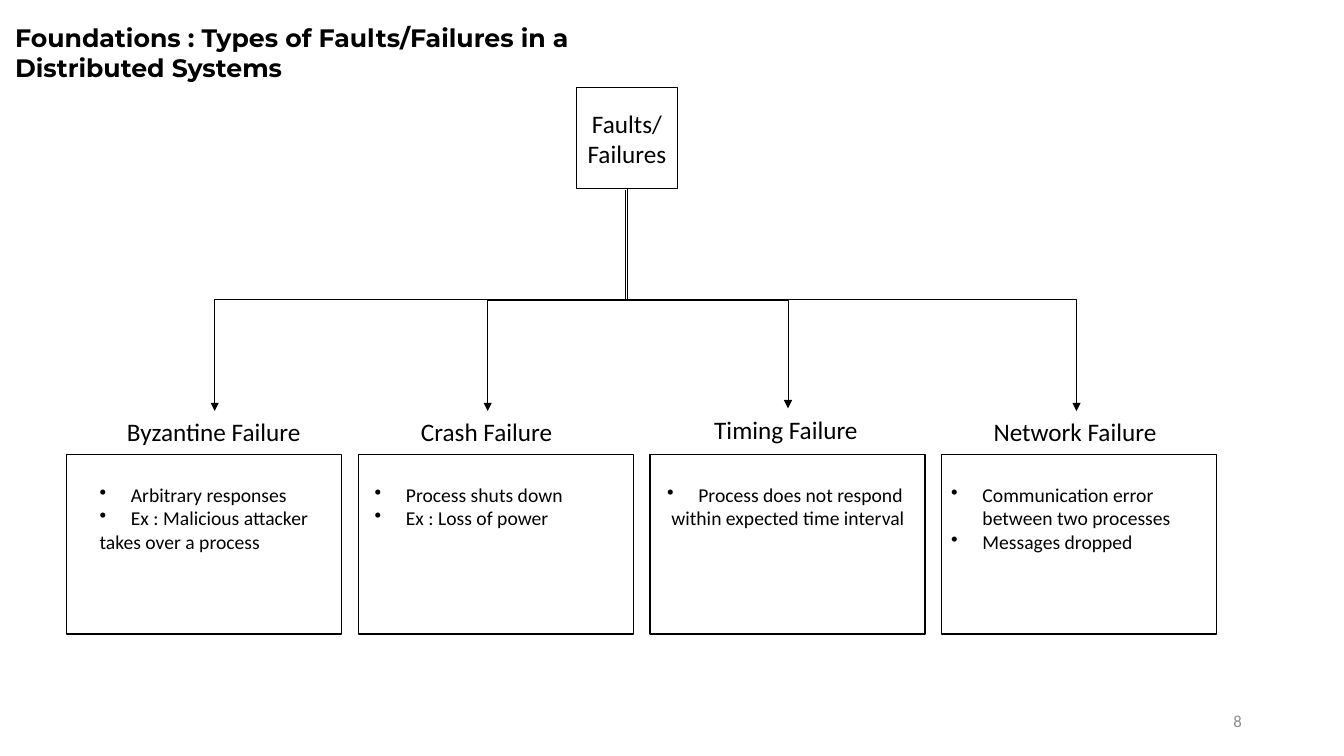
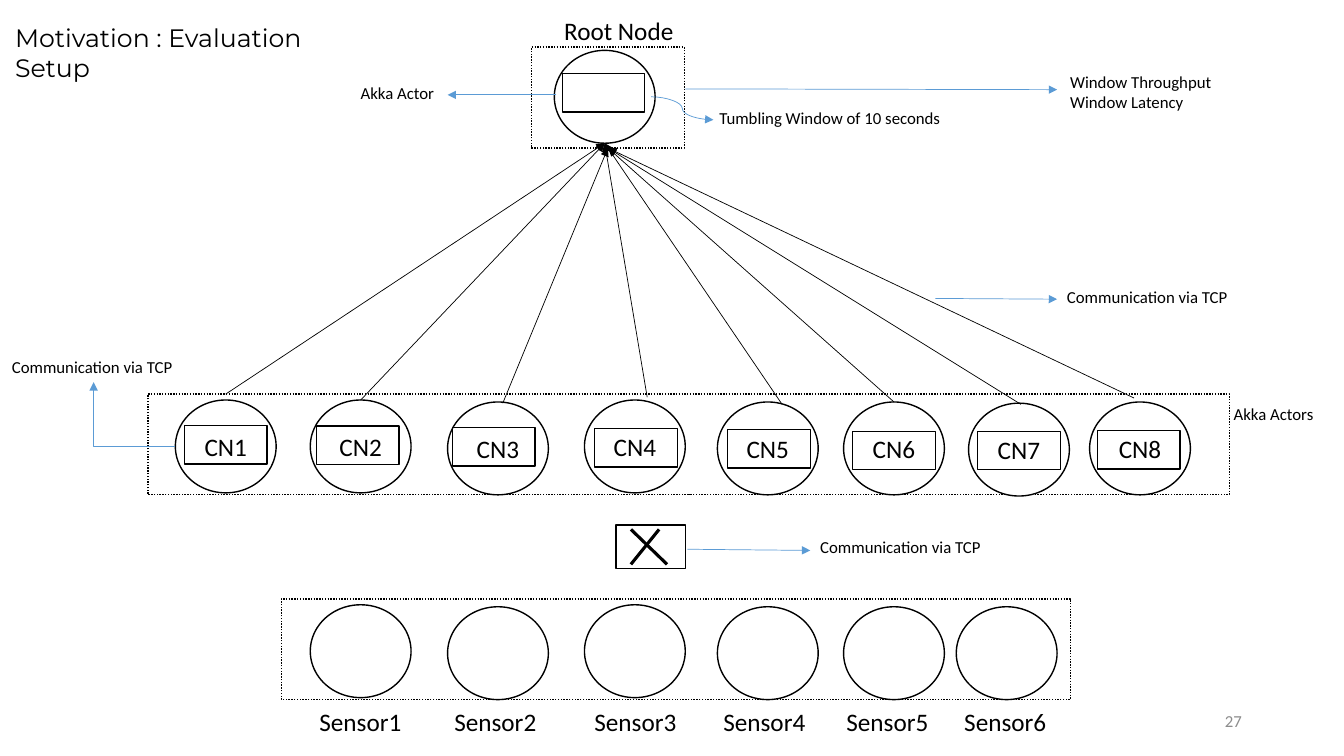
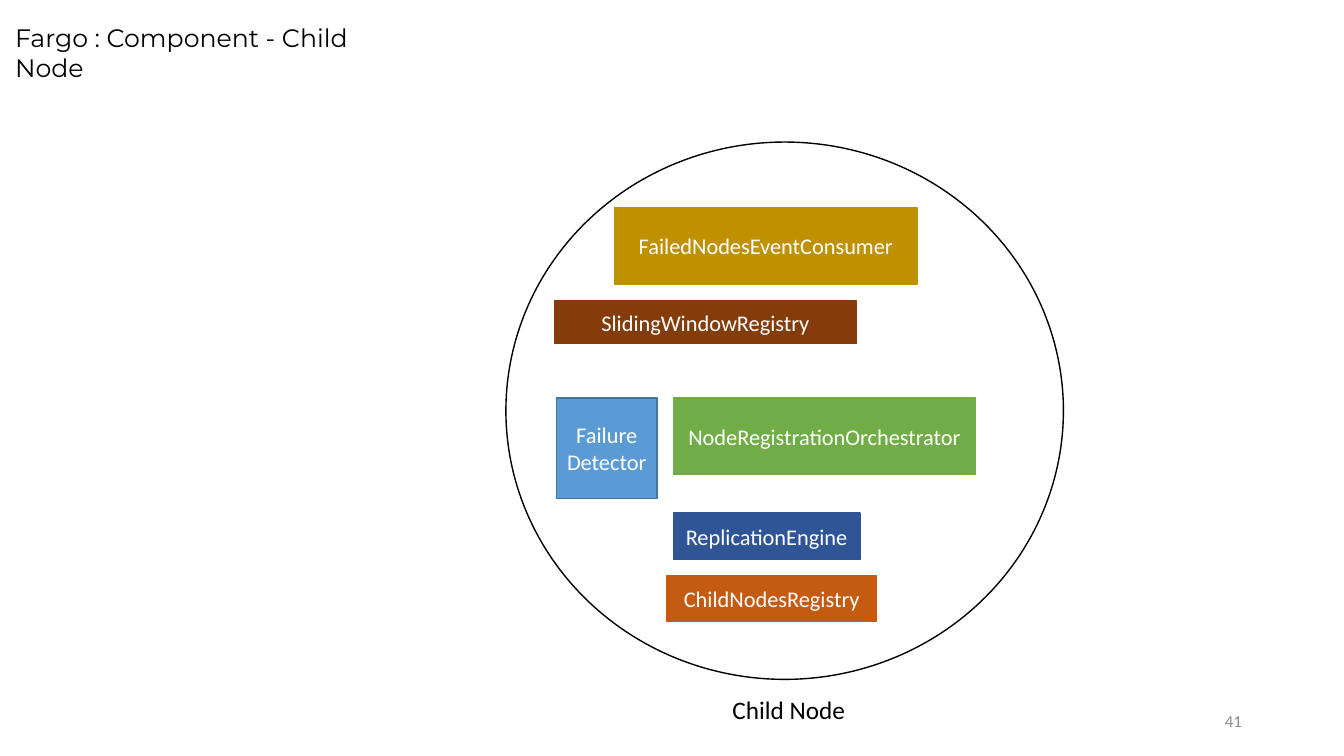
from dataclasses import dataclass

from pptx import Presentation
from pptx.dml.color import RGBColor
from pptx.enum.dml import MSO_LINE
from pptx.enum.shapes import MSO_CONNECTOR, MSO_SHAPE
from pptx.enum.text import MSO_ANCHOR, PP_ALIGN
from pptx.oxml.ns import qn
from pptx.oxml.xmlchemy import OxmlElement
from pptx.util import Cm, Pt

RECT, OVAL = MSO_SHAPE.RECTANGLE, MSO_SHAPE.OVAL
STRAIGHT, ELBOW, CURVE = MSO_CONNECTOR.STRAIGHT, MSO_CONNECTOR.ELBOW, MSO_CONNECTOR.CURVE
LEFT, CENTER, RIGHT = PP_ALIGN.LEFT, PP_ALIGN.CENTER, PP_ALIGN.RIGHT
TOP, MIDDLE = MSO_ANCHOR.TOP, MSO_ANCHOR.MIDDLE
DOTTED = MSO_LINE.ROUND_DOT


@dataclass(frozen=True)
class Theme:
    black: str = "000000"
    white: str = "FFFFFF"
    grey: str = "8C8C8C"
    blue: str = "5B9BD5"
    steel: str = "43739E"
    brown: str = "843C0B"
    green: str = "70AD47"
    navy: str = "2F5597"
    gold: str = "BF9000"
    orange: str = "C55A11"
    body_font: str = "Calibri"
    title_font: str = "Montserrat"
    large: int = 18
    medium: int = 16
    small: int = 14
    note: int = 12
    outline: float = 1
    thin: float = 0.5
    thick: float = 2.25


THEME = Theme()
BULLET_INDENT = 0.79

ROOT_FAULT = ("Faults/Failures", (14.53, 2.21, 2.54, 2.54))
CARD_LEFT, CARD_TOP, CARD_PITCH, CARD_SIZE = 1.68, 11.46, 7.35, (6.93, 4.52)
FAILURES = [
    {"name": "Byzantine Failure", "heading": (2.95, 10.36, 4.95, 1.02),
     "body": (2.26, 12.04, 5.84, 2.06), "wrap": False,
     "lines": ["Arbitrary responses", "Ex : Malicious attacker", ("takes over a process", 0)],
     "arrow": ((15.8, 4.75), (5.41, 10.36))},
    {"name": "Crash Failure", "heading": (10.36, 10.36, 3.86, 1.02),
     "body": (9.19, 12.04, 6.76, 1.45), "wrap": True,
     "lines": ["Process shuts down", "Ex : Loss of power"],
     "arrow": ((15.77, 4.8), (12.29, 10.36))},
    {"name": "Timing Failure", "heading": (17.75, 10.31, 4.17, 1.02),
     "body": (16.56, 12.04, 6.58, 1.45), "wrap": False,
     "lines": ["Process does not respond", ("within expected time interval", 0.11)],
     "arrow": ((15.77, 4.83), (19.86, 10.29))},
    {"name": "Network Failure", "heading": (24.79, 10.36, 4.65, 1.02),
     "body": (23.72, 12.04, 6.15, 2.06), "wrap": True,
     "lines": ["Communication error between two processes", "Messages dropped"],
     "arrow": ((15.8, 4.75), (27.13, 10.36))},
]

NODE_SIZE, WINDOW_SIZE = (2.54, 2.34), (2.08, 0.97)
FRAMES = [(7.09, 15.09, 19.89, 2.54), (3.73, 9.93, 27.25, 2.54), (13.39, 1.19, 3.86, 2.54)]
ROOT_NODE, ROOT_WINDOW = (13.97, 1.27), (14.17, 1.85)
ROOT_LABEL = ("Root Node", (13.97, 0.25, 3.3, 1.02))
SENSOR_LABEL_TOP = 17.68
SENSORS = [
    ((7.82, 15.24), 7.8), ((11.28, 15.29), 11.2), ((14.73, 15.24), 14.73),
    ((18.08, 15.29), 17.98), ((21.26, 15.29), 21.08), ((24.1, 15.29), 24.05),
]
ROOT_BASE, FRAME_BASE = (15.24, 3.61), (15.32, 3.73)
CHILD_NODES = [
    ((4.42, 10.08), (4.65, 10.72), (5.69, 9.93), ROOT_BASE),
    ((7.82, 10.08), (7.98, 10.74), (9.09, 10.08), ROOT_BASE),
    ((11.28, 10.13), (11.4, 10.77), (12.67, 10.16), FRAME_BASE),
    ((14.73, 10.08), (14.99, 10.8), (16.31, 10.01), ROOT_BASE),
    ((18.08, 10.13), (18.34, 10.82), (19.71, 10.19), ROOT_BASE),
    ((21.26, 10.13), (21.49, 10.87), (22.53, 10.13), FRAME_BASE),
    ((24.41, 10.16), (24.64, 10.87), (25.73, 10.19), FRAME_BASE),
    ((27.46, 10.13), (27.66, 10.85), (28.58, 10.03), FRAME_BASE),
]
BROKER = (15.52, 13.23, 1.75, 1.09)
BROKER_CROSS = [((15.9, 13.34), (16.81, 14.22)), ((15.9, 14.22), (16.61, 13.34))]
NOTE_ARROWS = [
    ((17.27, 2.24), (26.64, 2.26)), ((23.57, 7.52), (26.64, 7.54)),
    ((17.32, 13.84), (20.42, 13.87)), ((14.02, 2.39), (11.28, 2.39)),
]
WINDOW_CURVE = ((16.41, 2.44), (17.98, 3.02))
NODE_ELBOW = ((4.42, 11.25), (2.36, 9.63))
TCP = "Communication via TCP"
NOTES = [
    (["Tumbling Window of 10 seconds"], (17.88, 2.59, 6.15, 0.76)),
    (["Window Throughput", "Window Latency"], (26.72, 1.68, 4.09, 1.27)),
    ([TCP], (26.64, 7.09, 4.6, 0.76)),
    ([TCP], (20.42, 13.41, 4.6, 0.76)),
    ([TCP], (0.05, 8.86, 4.6, 0.76)),
    (["Akka Actor"], (8.84, 1.96, 2.39, 0.76)),
    (["Akka Actors"], (30.84, 10.06, 2.57, 0.76)),
]

CHILD_CIRCLE = (12.75, 3.58, 14.05, 13.54)
CHILD_LABEL = ("Child Node", (18.21, 17.37, 3.38, 1.02))
COMPONENTS = [
    ("Failure Detector", (14.02, 10.03, 2.54, 2.54), THEME.blue, THEME.steel),
    ("SlidingWindowRegistry", (13.97, 7.59, 7.62, 1.07), THEME.brown, THEME.brown),
    ("NodeRegistrationOrchestrator", (16.97, 10.03, 7.62, 1.93), THEME.green, THEME.green),
    ("ReplicationEngine", (16.97, 12.93, 4.7, 1.17), THEME.navy, THEME.navy),
    ("FailedNodesEventConsumer", (15.49, 5.23, 7.62, 1.93), THEME.gold, THEME.gold),
    ("ChildNodesRegistry", (16.81, 14.5, 5.28, 1.17), THEME.orange, THEME.orange),
]


def lengths(values):
    return [Cm(value) for value in values]


def write(box, lines, size=THEME.large, color=THEME.black, font=THEME.body_font,
          bold=False, align=LEFT, anchor=TOP, wrap=True, bullets=False):
    frame = box.text_frame
    frame.word_wrap = wrap
    frame.vertical_anchor = anchor
    for index, line in enumerate(lines):
        para = frame.paragraphs[0] if index == 0 else frame.add_paragraph()
        para.alignment = align
        bulleted = bullets and isinstance(line, str)
        text, indent = (line, BULLET_INDENT) if isinstance(line, str) else line
        if bullets:
            properties = para._p.get_or_add_pPr()
            properties.set("marL", str(Cm(indent)))
            properties.set("indent", str(-Cm(indent) if bulleted else 0))
        if bulleted:
            marker = OxmlElement("a:buChar")
            marker.set("char", "•")
            properties.append(marker)
        span = para.add_run()
        span.text = text
        span.font.name = font
        span.font.size = Pt(size)
        span.font.bold = bold
        span.font.color.rgb = RGBColor.from_string(color)


def label(slide, lines, place, **style):
    write(slide.shapes.add_textbox(*lengths(place)), lines, **style)


def figure(slide, kind, place, fill=None, line=THEME.black, dash=None, text=None, **style):
    shape = slide.shapes.add_shape(kind, *lengths(place))
    shape.shadow.inherit = False
    if fill:
        shape.fill.solid()
        shape.fill.fore_color.rgb = RGBColor.from_string(fill)
    else:
        shape.fill.background()
    shape.line.color.rgb = RGBColor.from_string(line)
    shape.line.width = Pt(THEME.outline)
    if dash:
        shape.line.dash_style = dash
    if text:
        write(shape, [text], align=CENTER, anchor=MIDDLE, **style)


def connect(slide, start, end, kind=STRAIGHT, color=THEME.black, width=THEME.thin,
            arrow=True, turns=0, preset=None):
    (x1, y1), (x2, y2) = start, end
    across, down = x2 - x1, y2 - y1
    for _ in range(turns):
        across, down = down, -across
    x, y = (x1 + x2) / 2, (y1 + y2) / 2
    corners = (x - across / 2, y - down / 2, x + across / 2, y + down / 2)
    line = slide.shapes.add_connector(kind, *lengths(corners))
    line.line.color.rgb = RGBColor.from_string(color)
    line.line.width = Pt(width)
    properties = line.element.spPr
    if turns:
        properties.find(qn("a:xfrm")).set("rot", str(turns * 5400000))
    if preset:
        properties.find(qn("a:prstGeom")).set("prst", preset)
    if arrow:
        head = OxmlElement("a:tailEnd")
        head.set("type", "triangle")
        properties.find(qn("a:ln")).append(head)
    properties.append(OxmlElement("a:effectLst"))


def new_slide(deck, title, title_width, number, bold=False):
    slide = deck.slides.add_slide(deck.slide_layouts[6])
    label(slide, [title], (0.13, 0.43, title_width, 1.8), font=THEME.title_font, bold=bold)
    label(slide, [number], (23.93, 17.65, 7.62, 1.02), size=THEME.note, color=THEME.grey,
          align=RIGHT, anchor=MIDDLE)
    return slide


def failure_types(deck):
    slide = new_slide(deck, "Foundations : Types of Faults/Failures in a Distributed Systems",
                      17.86, "8", bold=True)
    name, place = ROOT_FAULT
    figure(slide, RECT, place, text=name)
    for index, failure in enumerate(FAILURES):
        figure(slide, RECT, (CARD_LEFT + index * CARD_PITCH, CARD_TOP, *CARD_SIZE))
        label(slide, [failure["name"]], failure["heading"], wrap=False)
        label(slide, failure["lines"], failure["body"], size=THEME.small,
              wrap=failure["wrap"], bullets=True)
        start, end = failure["arrow"]
        connect(slide, start, end, kind=ELBOW, turns=1 if end[0] < start[0] else 3)


def evaluation_setup(deck):
    slide = new_slide(deck, "Motivation : Evaluation Setup", 8.26, "27")
    for frame in FRAMES:
        figure(slide, RECT, frame, dash=DOTTED)
    for number, (place, label_left) in enumerate(SENSORS, 1):
        figure(slide, OVAL, (*place, *NODE_SIZE), fill=THEME.white)
        label(slide, [f"Sensor{number}"], (label_left, SENSOR_LABEL_TOP, 2.59, 1.02), wrap=False)
    figure(slide, OVAL, (*ROOT_NODE, *NODE_SIZE), fill=THEME.white)
    figure(slide, RECT, (*ROOT_WINDOW, *WINDOW_SIZE), fill=THEME.white)
    name, place = ROOT_LABEL
    label(slide, [name], place, wrap=False)
    for number, (node, window, start, end) in enumerate(CHILD_NODES, 1):
        figure(slide, OVAL, (*node, *NODE_SIZE), fill=THEME.white, text=f"CN{number}")
        figure(slide, RECT, (*window, *WINDOW_SIZE))
        connect(slide, start, end)
    figure(slide, RECT, BROKER)
    for start, end in BROKER_CROSS:
        connect(slide, start, end, width=THEME.thick, arrow=False)
    for start, end in NOTE_ARROWS:
        connect(slide, start, end, color=THEME.blue)
    connect(slide, *WINDOW_CURVE, kind=CURVE, color=THEME.blue)
    connect(slide, *NODE_ELBOW, kind=ELBOW, color=THEME.blue, turns=2, preset="bentConnector2")
    for lines, place in NOTES:
        label(slide, lines, place, size=THEME.note, wrap=False)


def child_node(deck):
    slide = new_slide(deck, "Fargo : Component - Child Node", 9.17, "41")
    figure(slide, OVAL, CHILD_CIRCLE, fill=THEME.white)
    for name, place, fill, line in COMPONENTS:
        figure(slide, RECT, place, fill=fill, line=line, text=name,
               size=THEME.medium, color=THEME.white)
    name, place = CHILD_LABEL
    label(slide, [name], place, wrap=False)


def main():
    deck = Presentation()
    deck.slide_width, deck.slide_height = Cm(33.87), Cm(19.05)
    failure_types(deck)
    evaluation_setup(deck)
    child_node(deck)
    deck.save("out.pptx")


if __name__ == "__main__":
    main()
